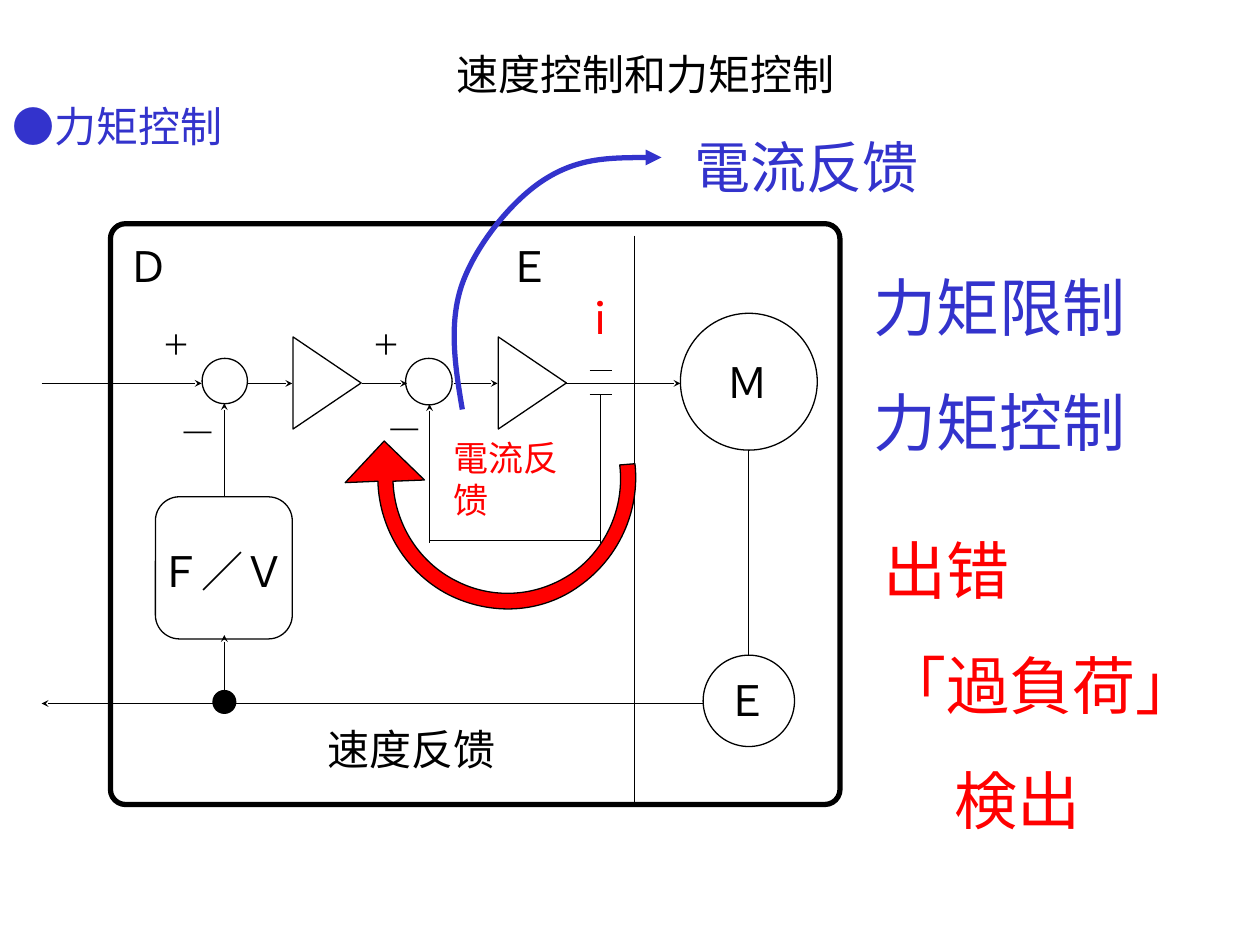
from dataclasses import dataclass

import lxml.etree
import pptx
import pptx.dml.color
import pptx.enum.shapes
import pptx.enum.text
import pptx.oxml.ns
import pptx.shapes.base
import pptx.shapes.shapetree
import pptx.util

Pt = pptx.util.Pt
qn = pptx.oxml.ns.qn
KIND = pptx.enum.shapes.MSO_SHAPE
ALIGN = pptx.enum.text.PP_ALIGN
Tree = pptx.shapes.shapetree.SlideShapes | pptx.shapes.shapetree.GroupShapes
Base = pptx.shapes.base.BaseShape

INK = {"black": "000000", "white": "FFFFFF", "blue": "3333CC", "red": "FF0000"}
SANS, SERIF = "Noto Sans CJK JP", "TeX Gyre Schola"
THIN, BOLD = 0.75, 3

# Axes of the block diagram
IN_Y, OUT_Y, LOOP_Y = 219.1, 402, 310.3
FV_X, CUR_X, TAP_X, MOT_X = 128.2, 245.5, 343.2, 427.7
STEP = 117.3


@dataclass
class Line:
    x1: float
    y1: float
    x2: float
    y2: float
    head: str = ""


@dataclass
class Block:
    kind: KIND
    x: float
    y: float
    w: float
    h: float
    fill: str = "white"
    width: float = THIN
    turn: float = 0
    adj: float | None = None


@dataclass
class Label:
    text: str
    x: float
    y: float
    w: float
    h: float
    size: float
    ink: str = "black"
    font: str = SERIF
    align: ALIGN = ALIGN.JUSTIFY
    gap: float = 0
    indent: float = 0  # left margin of the last paragraph
    tab: float = 0  # tab stop of the last paragraph


def color(ink: str) -> pptx.dml.color.RGBColor:
    return pptx.dml.color.RGBColor.from_string(INK[ink])


def stroke(shape: Base, ink: str, width: float, head: str = "", size: str = "med") -> None:
    shape.line.color.rgb = color(ink)
    shape.line.width = Pt(width)
    if head:
        edge = shape.element.spPr.find(qn("a:ln"))
        lxml.etree.SubElement(edge, qn("a:tailEnd"), type=head, w=size, len=size)


def draw_line(tree: Tree, item: Line) -> None:
    line = tree.add_connector(
        pptx.enum.shapes.MSO_CONNECTOR.STRAIGHT,
        Pt(item.x1), Pt(item.y1), Pt(item.x2), Pt(item.y2))
    stroke(line, "black", THIN, item.head, "sm")
    lxml.etree.SubElement(line.element.spPr, qn("a:effectLst"))


def paint(shape: Base, fill: str) -> None:
    shape.shadow.inherit = False
    if fill:
        shape.fill.solid()
        shape.fill.fore_color.rgb = color(fill)
    else:
        shape.fill.background()


def draw_block(tree: Tree, item: Block) -> None:
    shape = tree.add_shape(item.kind, Pt(item.x), Pt(item.y), Pt(item.w), Pt(item.h))
    shape.rotation = item.turn
    if item.adj is not None:
        shape.adjustments[0] = item.adj
    paint(shape, item.fill)
    stroke(shape, "black", item.width)


def draw_label(tree: Tree, item: Label) -> None:
    frame = tree.add_textbox(Pt(item.x), Pt(item.y), Pt(item.w), Pt(item.h)).text_frame
    frame.word_wrap = True
    for num, text in enumerate(item.text.split("\n")):
        para = frame.add_paragraph() if num else frame.paragraphs[0]
        para.alignment = item.align
        para.space_before = Pt(item.gap)
        run = para.add_run()
        run.text = text
        run.font.size = Pt(item.size)
        run.font.name = item.font
        run.font.color.rgb = color(item.ink)
        lxml.etree.SubElement(run.font._element, qn("a:ea"), typeface=item.font)
    props = para._p.get_or_add_pPr()
    if item.indent:
        props.set("marL", str(Pt(item.indent)))
    if item.tab:
        stops = lxml.etree.SubElement(props, qn("a:tabLst"))
        lxml.etree.SubElement(stops, qn("a:tab"), pos=str(Pt(item.tab)), algn="l")


def draw_curve(tree: Tree, start: tuple, legs: list[tuple], fill: str,
               ink: str, width: float, head: str = "") -> None:
    """Draw legs of one point (straight) or three points (cubic curve)."""
    dots = [(Pt(x), Pt(y)) for leg in legs for x, y in zip(leg[::2], leg[1::2])]
    pen = tree.build_freeform(Pt(start[0]), Pt(start[1]), scale=1.0)
    pen.add_line_segments(dots, close=bool(fill))
    shape = pen.convert_to_shape()
    sides = iter(list(shape.element.iter(qn("a:lnTo"))))
    for leg in legs:
        side = next(sides)
        if len(leg) == 6:
            side.tag = qn("a:cubicBezTo")
            for _ in range(2):
                extra = next(sides)
                side.append(extra[0])
                extra.getparent().remove(extra)
    paint(shape, fill)
    stroke(shape, ink, width, head)


LINES = [
    Line(362.6, 134.6, 362.6, 460),
    Line(FV_X, 283.7, FV_X, 230.4, "stealth"),
    Line(FV_X, OUT_Y, FV_X, 362.9, "stealth"),
    Line(CUR_X, 309, TAP_X, 309),
    Line(337, 225.4, 350, 225.4),
    Line(337, 211.7, 350, 211.7),
    Line(TAP_X, 226, TAP_X, LOOP_Y),
    Line(CUR_X, LOOP_Y, CUR_X, 231, "stealth"),
    Line(MOT_X, 257, MOT_X, 374.4),
    Line(401.8, OUT_Y, 23.8, OUT_Y, "stealth"),
] + [Line(a, IN_Y, b, IN_Y, "stealth") for a, b in (
    (23.8, 115.2), (141.1, 167), (206.6, 232.6), (259.2, 284.4), (323.3, 388.8))]

BLOCKS = [
    Block(KIND.ROUNDED_RECTANGLE, 63.1, 127.8, 416.9, 331.9, "", BOLD, adj=0.026),
    *(Block(KIND.ISOSCELES_TRIANGLE, 160.6 + n * STEP, 199.4, 52.6, 38.9, turn=90)
      for n in (0, 1)),
    *(Block(KIND.OVAL, x, y, d, d) for x, y, d in (
        (115.5, 204.8, 25.9), (231.8, 204.8, 26.6),
        (388.8, 179, 78.2), (401.8, 374.4, 52.2))),
    Block(KIND.ROUNDED_RECTANGLE, 88.8, 283.9, 78.2, 81.2, adj=0.175),
    Block(KIND.OVAL, 121.7, 394.6, 13, 13, "black"),
]

SIGNS = [
    Label("Ｆ／Ｖ", 84.2, 308.2, 104.4, 52.6, 24),
    Label("Ｍ", 408.2, 200.2, 64.8, 51.8, 24),
    Label("Ｅ", 408.2, 381.6, 51.8, 51.8, 24),
    Label("速度反馈", 180, 409.7, 182.2, 51.8, 24),
    Label("＋", 85.7, 183.6, 51.8, 51.8, 16),
    Label("＋", 205.9, 183.6, 51.8, 51.8, 16),
    Label("―", 97.9, 231.8, 51.8, 51.8, 16),
    Label("―", 216, 229.7, 51.8, 51.8, 16),
    Label("Ｄ\tＥ", 65.8, 133.9, 347.8, 36, 24, "black", SANS, ALIGN.LEFT, 15, tab=217.9),
]

NOTES = [
    Label("速度控制和力矩控制", 192, 24, 354, 80, 24, "black", SANS, ALIGN.CENTER, 15),
    Label("●力矩控制", 0, 54, 186, 36, 24, "blue", SANS, ALIGN.LEFT, 15),
    Label("電流反馈", 252, 246, 90, 55.4, 20, "red", SANS, ALIGN.LEFT, 12.5),
    Label("ｉ", 324, 163.4, 34.6, 34.6, 24, "red"),
    Label("力矩限制\n力矩控制", 492, 150, 210, 116.6, 36, "blue", SANS, ALIGN.LEFT, 22.5),
    Label("電流反馈", 390, 72, 306, 46, 32, "blue", SANS, ALIGN.LEFT, 20),
    Label("出错\n「過負荷」\n検出", 498, 300, 198, 182, 36, "red", SANS, ALIGN.LEFT, 22.5, 40.5),
]

LOOP = [
    (225.4, 298.8, 239, 321.1, 260.6, 331.9), (281.5, 342.7, 306.7, 341.3, 326.9, 327.6),
    (346.3, 313.9, 357.1, 290.2, 354.2, 265.7), (362.9, 265),
    (365.8, 292.3, 353.5, 319, 331.2, 334.8), (309.6, 350.6, 280.8, 352.1, 256.3, 339.8),
    (232.6, 327.6, 216.7, 302.4, 216, 275), (197.3, 275.8), (219.6, 252), (242.6, 274.3),
]
LEAD = [
    (259.9, 208.8, 256.3, 184.3, 264.2, 162), (272.2, 139.7, 293, 113.8, 311.8, 102.2),
    (331.2, 90, 354.2, 90, 378, 90),
]


def main() -> None:
    deck = pptx.Presentation()
    deck.slide_width, deck.slide_height = Pt(720), Pt(540)
    tree = deck.slides.add_slide(deck.slide_layouts[6]).shapes
    chart = tree.add_group_shape().shapes
    for block in BLOCKS:
        draw_block(chart, block)
    for line in LINES:
        draw_line(chart, line)
    for sign in SIGNS:
        draw_label(chart, sign)
    draw_curve(tree, (224.6, 275), LOOP, "red", "black", THIN)
    draw_curve(tree, (264.2, 234), LEAD, "", "blue", BOLD, "triangle")
    for note in NOTES:
        draw_label(tree, note)
    deck.save("out.pptx")


if __name__ == "__main__":
    main()
